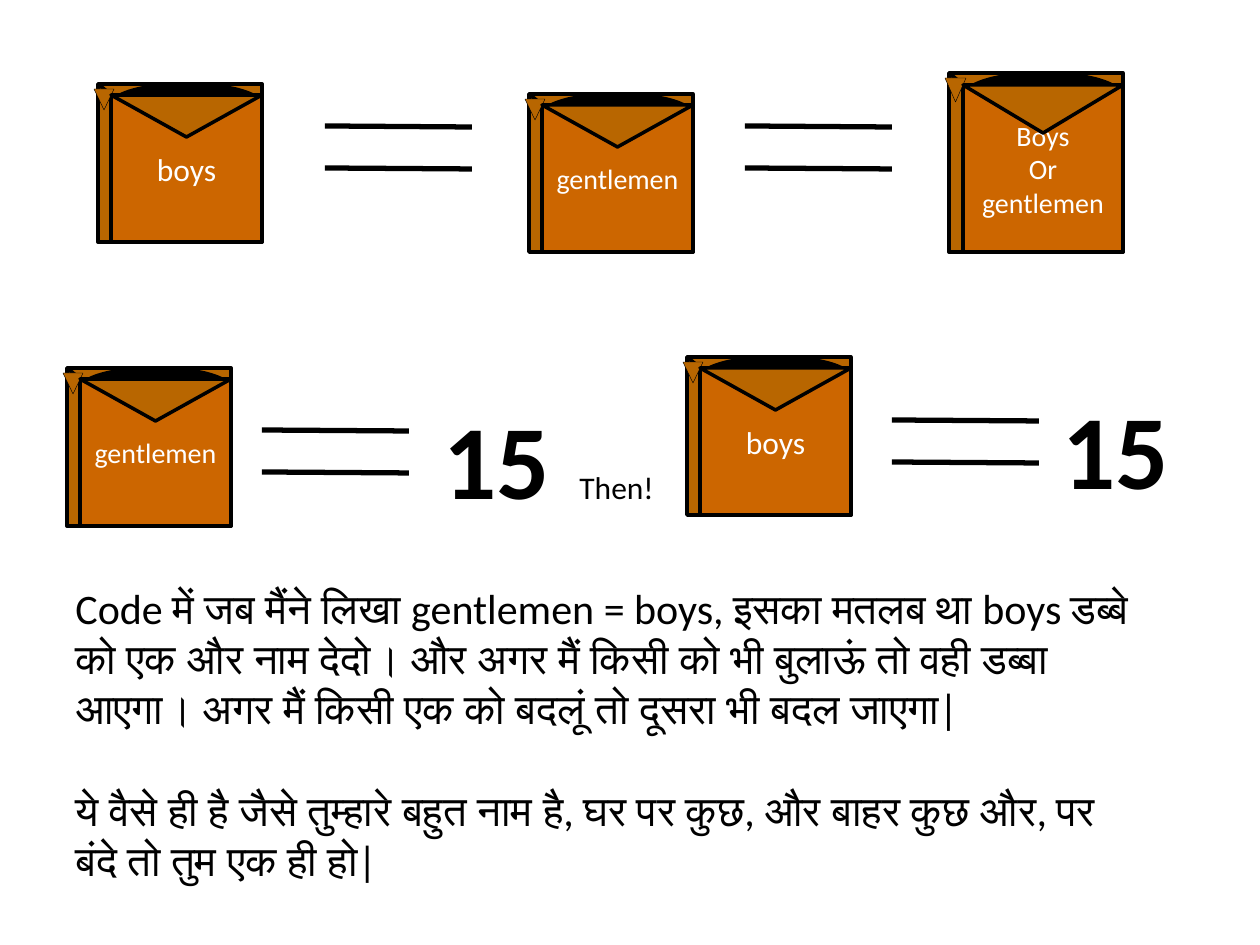
import pptx
import pptx.util
import pptx.dml.color
import pptx.enum.shapes
import pptx.enum.text
import pptx.oxml

SCALE = 914400 // 126
SHAPES = pptx.enum.shapes.MSO_SHAPE
BLACK = pptx.dml.color.RGBColor(0, 0, 0)
WHITE = pptx.dml.color.RGBColor(255, 255, 255)
BROWN = pptx.dml.color.RGBColor(0xB8, 0x66, 0x00)
ORANGE = pptx.dml.color.RGBColor(0xCC, 0x66, 0x00)
FONT = "Calibri"

BOXES = [
    ("boys", 18, 98, 84, 164, 158),
    ("gentlemen", 16, 529, 94, 164, 158),
    ("Boys\nOr\ngentlemen", 16, 949, 73, 174, 179),
    ("gentlemen", 16, 67, 368, 164, 158),
    ("boys", 18, 687, 357, 164, 158),
]
EQUALS_SIGNS = [(325, 126), (745, 126), (262, 430), (892, 420)]
EQUALS_LENGTH = 147
EQUALS_GAP = 42
EXPLANATION = (
    "Code में जब मैंने लिखा gentlemen = boys, इसका मतलब था boys डब्बे को एक और नाम देदो। "
    "और अगर मैं किसी को भी बुलाऊं तो वही डब्बा आएगा। "
    "अगर मैं किसी एक को बदलूं तो दूसरा भी बदल जाएगा|\n"
    "ये वैसे ही है जैसे तुम्हारे बहुत नाम है, घर पर कुछ, और बाहर कुछ और, "
    "पर बंदे तो तुम एक ही हो|"
)
TEXTS = [
    (EXPLANATION, 24, False, 63, 576, 1092, 369),
    ("15", 60, True, 431, 388, 305, 140),
    ("Then!", 18, False, 567, 462, 105, 50),
    ("15", 60, True, 1050, 378, 305, 140),
]


def px(*lengths):
    return [round(length) * SCALE for length in lengths]


def format_text(text_frame, text, size, color, bold=False, alignment=None, gap=0):
    text_frame.word_wrap = True
    text_frame.text = text
    for index, paragraph in enumerate(text_frame.paragraphs):
        paragraph.alignment = alignment
        if index and gap:
            paragraph.space_before = pptx.util.Pt(gap)
        for run in paragraph.runs:
            run.font.name = FONT
            run.font.size = pptx.util.Pt(size)
            run.font.bold = bold
            run.font.color.rgb = color


def add_part(group, preset, color, bounds, rotation=0, line_width=2):
    shape = group.shapes.add_shape(preset, *px(*bounds))
    shape.shadow.inherit = False
    shape.fill.solid()
    shape.fill.fore_color.rgb = color
    shape.line.color.rgb = BLACK
    shape.line.width = pptx.util.Pt(line_width)
    shape.rotation = rotation
    return shape


def add_line(group, start, end, width):
    connector = group.shapes.add_connector(
        pptx.enum.shapes.MSO_CONNECTOR.STRAIGHT, *px(*start, *end))
    connector.line.color.rgb = BLACK
    connector.line.width = pptx.util.Pt(width)
    properties = connector._element.spPr
    properties.append(pptx.oxml.parse_xml(
        '<a:effectLst xmlns:a="http://schemas.openxmlformats.org/drawingml/2006/main"/>'))


def add_box(slide, label, size, left, top, width, height):
    group = slide.shapes.add_group_shape()
    edge, lid, flap = width * 0.08, height * 0.067, height * 0.267
    face_left, face_top, face_width = left + edge, top + lid, width - edge
    add_part(group, SHAPES.RECTANGLE, BROWN, (left, top, width, height))
    add_part(group, SHAPES.OVAL, BLACK, (face_left, top, face_width, flap))
    face = add_part(group, SHAPES.RECTANGLE, ORANGE,
                    (face_left, face_top, face_width, height - lid))
    face.text_frame.vertical_anchor = pptx.enum.text.MSO_ANCHOR.MIDDLE
    format_text(face.text_frame, label, size, WHITE,
                alignment=pptx.enum.text.PP_ALIGN.CENTER)
    add_line(group, (left, top), (face_left, face_top), 2.25)
    add_part(group, SHAPES.ISOSCELES_TRIANGLE, BROWN,
             (left - 4, top + 5, width * 0.12, height * 0.134), 180, 0.25)
    add_part(group, SHAPES.ISOSCELES_TRIANGLE, BROWN,
             (face_left, face_top, face_width, flap), 180)


def add_equals_sign(slide, left, top):
    group = slide.shapes.add_group_shape()
    for y in (top, top + EQUALS_GAP):
        add_line(group, (left, y), (left + EQUALS_LENGTH, y + 1), 3)


def main():
    presentation = pptx.Presentation()
    presentation.slide_width = pptx.util.Inches(10)
    presentation.slide_height = pptx.util.Inches(7.5)
    slide = presentation.slides.add_slide(presentation.slide_layouts[6])
    for box in BOXES:
        add_box(slide, *box)
    for position in EQUALS_SIGNS:
        add_equals_sign(slide, *position)
    for text, size, bold, *bounds in TEXTS:
        text_box = slide.shapes.add_textbox(*px(*bounds))
        format_text(text_box.text_frame, text, size, BLACK, bold, gap=29)
    presentation.save("out.pptx")


if __name__ == "__main__":
    main()
